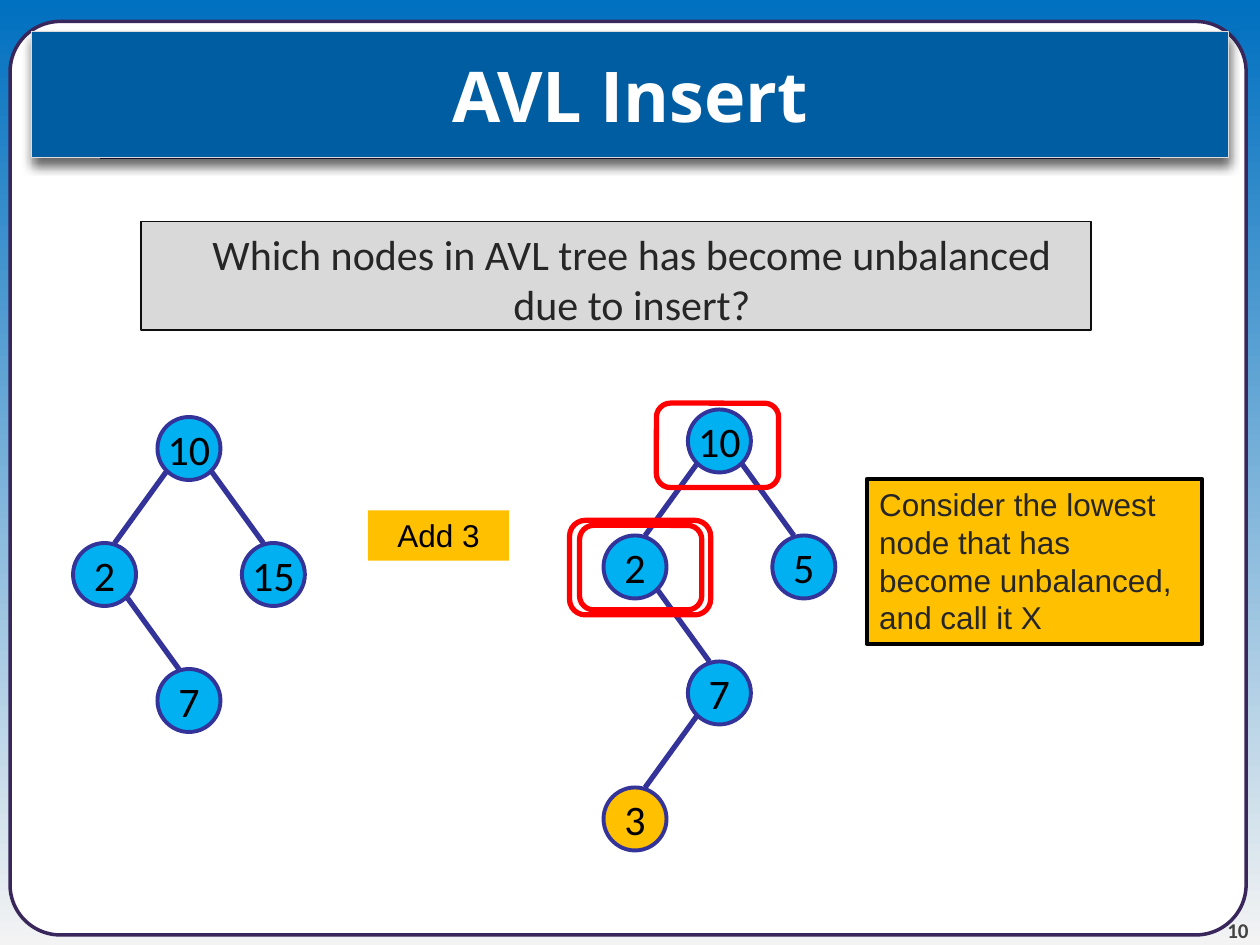
from lxml.etree import SubElement
from pptx import Presentation
from pptx.dml.color import RGBColor
from pptx.enum.shapes import MSO_CONNECTOR, MSO_SHAPE as Preset
from pptx.enum.text import MSO_ANCHOR as Anchor, MSO_AUTO_SIZE as AutoSize, PP_ALIGN as Align
from pptx.oxml.ns import qn
from pptx.util import Inches, Pt

COLORS = {
    "sky": "0070C0", "mist": "F3F3F3", "white": "FFFFFF", "frame": "39275B",
    "banner": "005DA2", "banner_edge": "DCDCDC", "question": "D9D9D9",
    "question_edge": "0D0D0D", "text": "262626", "number": "424242",
    "node": "00B0F0", "edge": "333399", "amber": "FFC000",
    "red": "FF0000", "black": "000000",
}
NODE_SIZE = 0.5
COLUMN_STEP, ROW_STEP = 0.67, 1


def rgb(name):
    return RGBColor.from_string(COLORS[name])


def place(shape, left, top, width, height):
    shape.left, shape.top = Inches(left), Inches(top)
    shape.width, shape.height = Inches(width), Inches(height)


def paint(shape, fill=None, line=None, weight=1):
    if fill:
        shape.fill.solid()
        shape.fill.fore_color.rgb = rgb(fill)
    else:
        shape.fill.background()
    if line:
        shape.line.color.rgb = rgb(line)
        shape.line.width = Pt(weight)
    else:
        shape.line.fill.background()


def write(shape, text, size, font, color, align=Align.CENTER, anchor=Anchor.TOP,
          bold=False, wrap=True):
    frame = shape.text_frame
    frame.text = text
    frame.word_wrap = wrap
    frame.auto_size = AutoSize.NONE
    frame.vertical_anchor = anchor
    paragraph = frame.paragraphs[0]
    paragraph.alignment = align
    run_font = paragraph.runs[0].font
    run_font.size, run_font.name, run_font.bold = Pt(size), font, bold
    run_font.color.rgb = rgb(color)


def add_box(shapes, preset, bounds, fill=None, line=None, weight=1):
    box = shapes.add_shape(preset, *map(Inches, bounds))
    box.shadow.inherit = False
    paint(box, fill, line, weight)
    return box


def add_line(shapes, start, end, color, weight):
    line = shapes.add_connector(MSO_CONNECTOR.STRAIGHT, *map(Inches, (*start, *end)))
    line.line.color.rgb = rgb(color)
    line.line.width = Pt(weight)
    SubElement(line.element.spPr, qn("a:effectLst"))
    return line


def add_banner_shadow(banner):
    effects = SubElement(banner.element.spPr, qn("a:effectLst"))
    shadow = SubElement(effects, qn("a:outerShdw"), blurRad="76200", dist="50800",
                        dir="5400000", algn="t", rotWithShape="0")
    tone = SubElement(shadow, qn("a:srgbClr"), val=COLORS["black"])
    SubElement(tone, qn("a:alpha"), val="60000")


def add_tree(slide, root_x, root_y, nodes, edges):
    """Nodes are (column, row, fill) by key, with the root's centre at (0, 0)."""
    shapes = slide.shapes.add_group_shape().shapes
    centers = {key: (root_x + column * COLUMN_STEP, root_y + row * ROW_STEP)
               for key, (column, row, _) in nodes.items()}
    for parent, child in edges:
        (px, py), (cx, cy) = centers[parent], centers[child]
        side = 1 if cx > px else -1
        add_line(shapes, (px + side * 0.17, py + 0.17),
                 (cx - side * 0.08, cy - NODE_SIZE / 2), "edge", 3)
    for key, (x, y) in centers.items():
        bounds = (x - NODE_SIZE / 2, y - NODE_SIZE / 2, NODE_SIZE, NODE_SIZE)
        node = add_box(shapes, Preset.OVAL, bounds, nodes[key][2], "edge", 2.25)
        write(node, key, 24, "Calibri", "black", anchor=Anchor.MIDDLE, wrap=False)


def add_background(slide):
    fill = slide.background.fill
    fill.gradient()
    fill.gradient_angle = 270
    for stop, name in zip(fill.gradient_stops, ("sky", "mist")):
        stop.color.rgb = rgb(name)

    frame = add_box(slide.shapes, Preset.ROUNDED_RECTANGLE, (0.08, 0.17, 9.81, 7.25),
                    "white", "frame", 2)
    frame.adjustments[0] = 0.055
    rule = add_line(slide.shapes, (0.79, 1.25), (9.21, 1.25), "frame", 2.25)
    number = slide.shapes.add_textbox(*map(Inches, (9.08, 7.08, 0.83, 0.4)))
    write(number, "10", 12, "Calibri", "number", Align.RIGHT, Anchor.BOTTOM, bold=True)
    text = number.text_frame
    text.margin_left = text.margin_right = text.margin_top = text.margin_bottom = 0

    # Background parts go behind the placeholders
    for part in (frame, number, rule):
        slide.shapes.title.element.addprevious(part.element)


def add_heading(slide):
    title, question = slide.shapes.title, slide.placeholders[1]
    place(title, 0.25, 0.25, 9.5, 1)
    paint(title, "banner", "banner_edge", 0.75)
    add_banner_shadow(title)
    write(title, "AVL Insert", 40, "Open Sans", "white", anchor=Anchor.MIDDLE, bold=True)

    place(question, 1.12, 1.76, 7.54, 0.86)
    paint(question, "question", "question_edge", 0.75)
    write(question, "Which nodes in AVL tree has become unbalanced due to insert?",
          24, "Calibri", "text")
    paragraph = question.text_frame.paragraphs[0]
    paragraph.space_before = Pt(0)
    properties = paragraph._p.get_or_add_pPr()
    properties.set("marL", str(Inches(0.25)))
    properties.set("indent", "0")
    SubElement(properties, qn("a:buNone"))


def main():
    prs = Presentation()
    prs.slide_width, prs.slide_height = Inches(10), Inches(7.5)
    slide = prs.slides.add_slide(prs.slide_layouts[1])
    add_background(slide)
    add_heading(slide)

    # Trees before and after the insert
    add_tree(slide, 1.5, 3.56,
             {"10": (0, 0, "node"), "2": (-1, 1, "node"),
              "15": (1, 1, "node"), "7": (0, 2, "node")},
             [("10", "2"), ("10", "15"), ("2", "7")])
    add_tree(slide, 5.71, 3.5,
             {"10": (0, 0, "node"), "2": (-1, 1, "node"), "5": (1, 1, "node"),
              "7": (0, 2, "node"), "3": (-1, 3, "amber")},
             [("10", "2"), ("10", "5"), ("2", "7"), ("7", "3")])

    # Notes on the insert
    step = add_box(slide.shapes, Preset.RECTANGLE, (2.92, 4.05, 1.12, 0.4), "amber")
    write(step, "Add 3", 18, "Arial", "black")
    hint = add_box(slide.shapes, Preset.RECTANGLE, (6.88, 3.8, 2.66, 1.31),
                   "amber", "black", 2.25)
    write(hint, "Consider the lowest node that has become unbalanced, and call it X",
          18, "Arial", "text", Align.LEFT)

    # Unbalanced nodes, the lowest one marked twice
    for bounds in ((4.6, 4.17, 0.97, 0.67), (5.21, 3.2, 0.97, 0.67),
                   (4.52, 4.13, 1.12, 0.75)):
        add_box(slide.shapes, Preset.ROUNDED_RECTANGLE, bounds, line="red", weight=3)

    prs.save("out.pptx")


if __name__ == "__main__":
    main()
